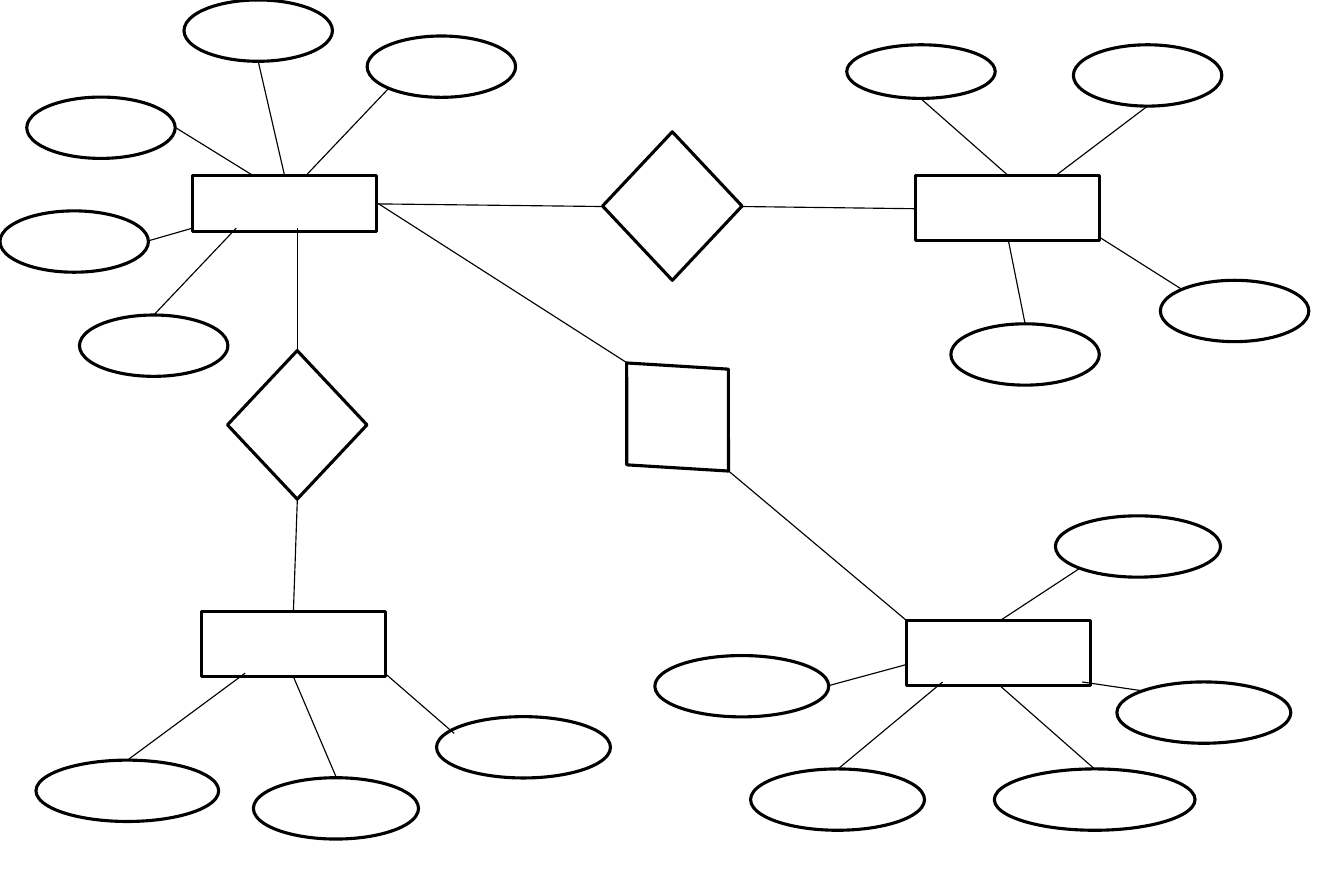
from pptx import Presentation
from pptx import util as u
from pptx.dml.color import RGBColor
from pptx.enum import shapes
from pptx.oxml.ns import qn
from lxml import etree

INK = RGBColor(0, 0, 0)
PAPER = RGBColor(255, 255, 255)
CELL = u.Cm(0.2)  # one grid column or row

OUTLINE = {"width": u.Pt(2)}
LINK = {"width": u.Pt(0.75)}

ENTITY_WIDTH = 20.95
ATTRIBUTE_HEIGHT = 6.98
RELATION_SIZE = (15.88, 16.9)
SMALL, MEDIUM, WIDE = 16.9, 18.8, 19.8  # attribute widths


class Diagram:
    def __init__(self, slide):
        self.slide = slide

    def node(self, preset, left, top, width, height, **placement):
        box = [round(v * CELL) for v in (left, top, width, height)]
        node = self.slide.shapes.add_shape(preset, *box)
        node.shadow.inherit = False
        node.fill.solid()
        node.fill.fore_color.rgb = PAPER
        self.stroke(node.line, OUTLINE)
        for key, value in placement.items():
            setattr(node, key, value)

    def entity(self, left, top, height):
        self.node(shapes.MSO_SHAPE.RECTANGLE, left, top, ENTITY_WIDTH, height)

    def relation(self, left, top, turn=0):
        self.node(shapes.MSO_SHAPE.DIAMOND, left, top, *RELATION_SIZE,
                  rotation=turn)

    def attribute(self, left, top, width=SMALL, height=ATTRIBUTE_HEIGHT):
        self.node(shapes.MSO_SHAPE.OVAL, left, top, width, height)

    def link(self, *ends):
        link = self.slide.shapes.add_connector(
            shapes.MSO_CONNECTOR.STRAIGHT, *(round(v * CELL) for v in ends))
        self.stroke(link.line, LINK)
        etree.SubElement(link._element.spPr, qn("a:effectLst"))

    def stroke(self, line, style):
        line.color.rgb = INK
        for key, value in style.items():
            setattr(line, key, value)


# Entities: box (left, top, height), then each attribute with its link
ENTITIES = {
    "upper left": ((21.95, 20, 6.4), [
        ((41.8, 4.1), (44.25, 10.05, 34.8, 20)),
        ((20.95, 0), (29.4, 7, 32.4, 20)),
        ((3.05, 11.05), (19.95, 14.5, 28.85, 20)),
        ((0, 24), (16.9, 27.4, 21.95, 25.95)),
        ((9.05, 35.85), (17.5, 35.85, 26.9, 25.95)),
    ]),
    "upper right": ((104.25, 20, 7.4), [
        ((108.25, 36.85), (116.7, 36.85, 114.8, 27.4)),
        ((132.1, 31.9), (134.5, 32.9, 125.1, 26.95)),
        ((122.2, 5.1), (130.6, 12.1, 120.15, 20)),
        ((96.4, 5.1, SMALL, 6.1), (104.8, 11.2, 114.8, 20)),
    ]),
    "lower left": ((22.95, 69.6, 7.4), [
        ((4.1, 86.5, 20.8), (14.5, 86.5, 27.9, 76.6)),
        ((28.85, 88.5, MEDIUM), (38.3, 88.5, 33.4, 77)),
        ((49.7, 81.55, WIDE), (51.7, 83.45, 43.8, 76.6)),
    ]),
    "lower right": ((103.25, 70.65, 7.4), [
        ((74.55, 74.6, WIDE), (94.4, 78, 103.25, 75.6)),
        ((85.45, 87.5, WIDE), (95.4, 87.5, 107.3, 77.6)),
        ((113.2, 87.5, 22.85), (124.6, 87.5, 113.8, 78)),
        ((127.15, 77.6, WIDE), (130, 78.6, 123.2, 77.6)),
        ((120.15, 58.7, MEDIUM), (122.95, 64.65, 113.8, 70.65)),
    ]),
}

# Relations: diamond (left, top, turn), then the links to its two entities
RELATIONS = [
    ((68.6, 15), [(84.5, 23.5, 104.25, 23.75), (42.9, 23.2, 68.6, 23.5)]),
    ((25.9, 39.9), [(33.85, 56.8, 33.4, 69.6), (33.85, 25.95, 33.85, 39.9)]),
    ((69.2, 39, 316.7), [(82.95, 53.6, 103.25, 70.65), (42.8, 23, 71.4, 41.3)]),
]

deck = Presentation()
deck.slide_width = u.Cm(30.6)
deck.slide_height = u.Cm(20.3)
diagram = Diagram(deck.slides.add_slide(deck.slide_layouts[6]))

# Entities and the relations between them
for entity, _ in ENTITIES.values():
    diagram.entity(*entity)
for relation, _ in RELATIONS:
    diagram.relation(*relation)
for _, links in RELATIONS:
    for link in links:
        diagram.link(*link)

# Attributes, each linked to its entity
for _, attributes in ENTITIES.values():
    for attribute, link in attributes:
        diagram.attribute(*attribute)
        diagram.link(*link)

deck.save("out.pptx")
